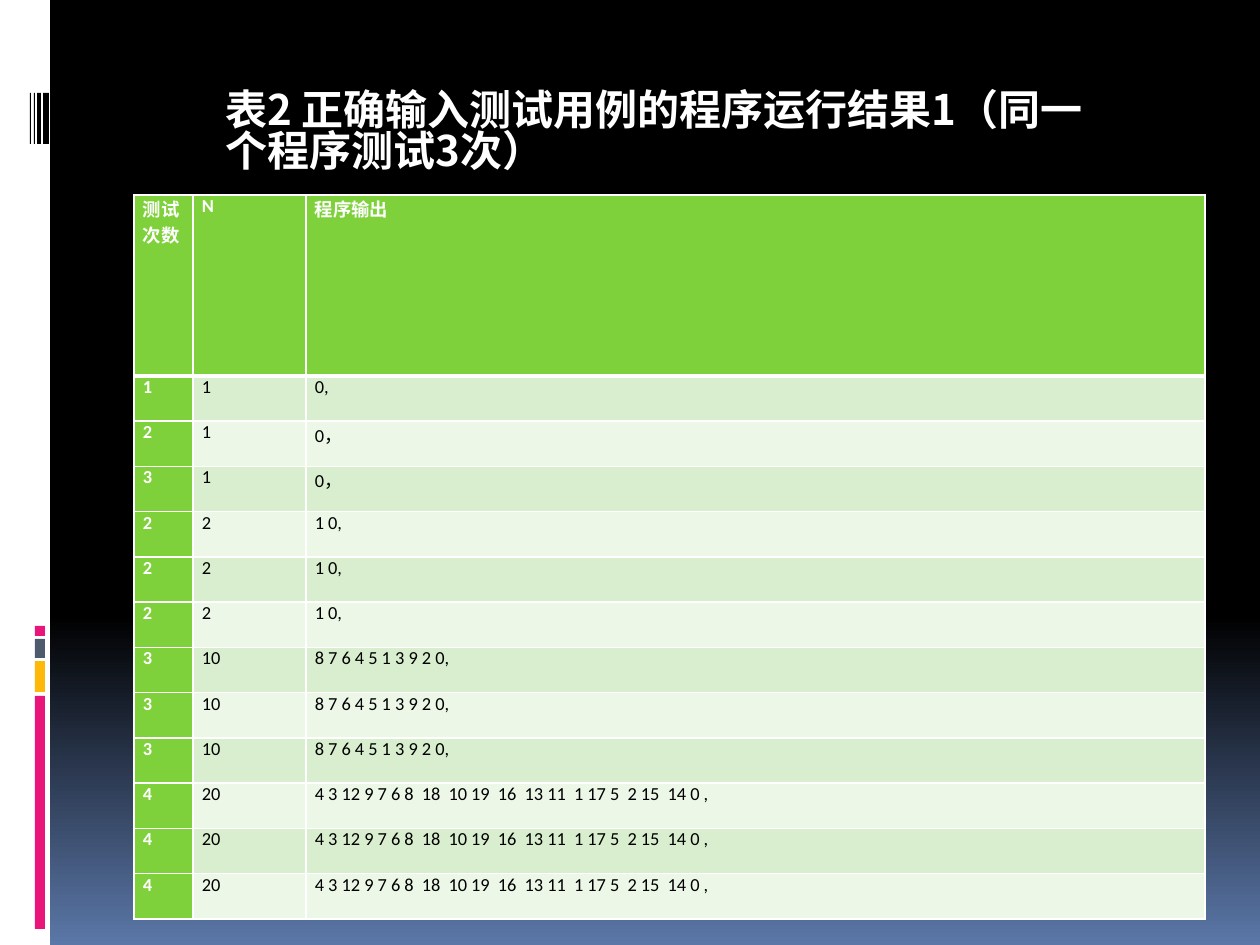
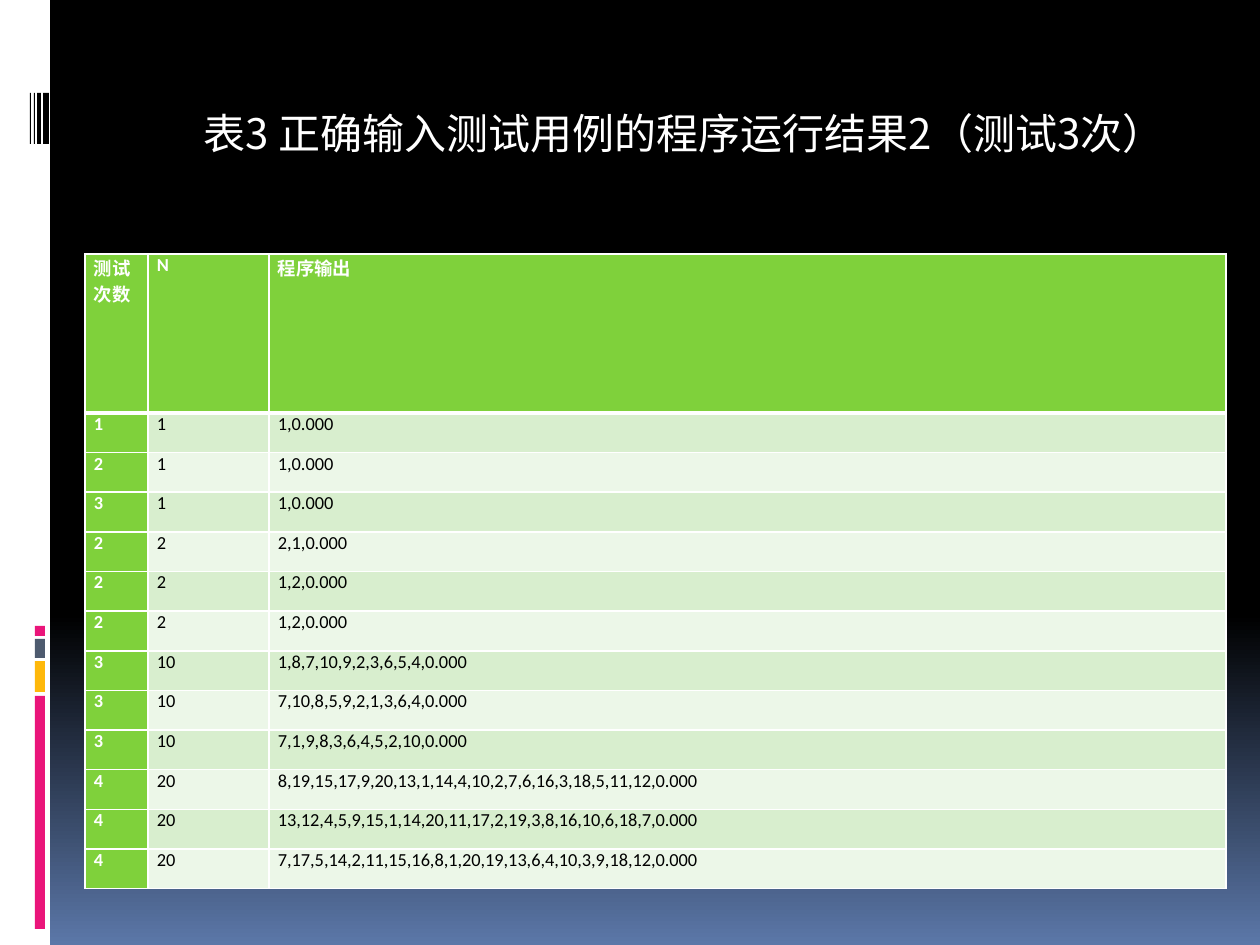
import copy
from dataclasses import dataclass

import lxml.etree
import pptx
import pptx.dml.color
import pptx.enum.shapes
import pptx.enum.text
import pptx.oxml.ns
import pptx.util

PX_PER_INCH = 126
COLORS = {
    "white": "FFFFFF",
    "black": "000000",
    "blue": "5B77A8",
    "pink": "EA157A",
    "yellow": "FEB80A",
    "slate": "4E5B6F",
    "green": "7FD13B",
    "dark band": "D8EECE",
    "light band": "ECF7E8",
}
CJK_FONT = "Noto Sans CJK SC"
TABLE_FONT = "Calibri"
HEADERS = ("测试次数", "N", "程序输出")


@dataclass(frozen=True)
class Box:
    left: int
    top: int
    width: int
    height: int


@dataclass(frozen=True)
class Bar:
    box: Box
    color: str


@dataclass(frozen=True)
class Title:
    text: str
    box: Box
    bold: bool
    align: pptx.enum.text.PP_ALIGN


@dataclass(frozen=True)
class ResultTable:
    box: Box
    column_widths: tuple[int, ...]
    header_height: int
    rows: list[tuple[str, str, str]]


@dataclass(frozen=True)
class ResultSlide:
    title: Title
    table: ResultTable


# Left strip with its colour blocks and barcode
SIDE_BARS = [
    Bar(Box(0, 0, 50, 945), "white"),
    Bar(Box(35, 696, 10, 233), "pink"),
    Bar(Box(35, 661, 10, 31), "yellow"),
    Bar(Box(35, 639, 10, 19), "slate"),
    Bar(Box(35, 626, 10, 10), "pink"),
] + [
    Bar(Box(left, 93, width, 51), "black")
    for left, width in ((43, 6), (37, 4), (34, 1), (30, 1))
]

# Test number and N for each row, the same in both tables
TESTS = [(number, "1") for number in "123"] + [
    (number, size)
    for number, size in (("2", "2"), ("3", "10"), ("4", "20"))
    for _ in range(3)
]


def with_tests(outputs: list[str]) -> list[tuple[str, str, str]]:
    return [(*test, output) for test, output in zip(TESTS, outputs)]


SORT_OUTPUTS = ["0,", "0，", "0，"] + [
    output
    for output in (
        "1 0,",
        "8 7 6 4 5 1 3 9 2 0,",
        "4 3 12 9 7 6 8  18  10 19  16  13 11  1 17 5  2 15  14 0 ,",
    )
    for _ in range(3)
]
TIMED_OUTPUTS = ["1,0.000"] * 3 + [
    "2,1,0.000",
    "1,2,0.000",
    "1,2,0.000",
    "1,8,7,10,9,2,3,6,5,4,0.000",
    "7,10,8,5,9,2,1,3,6,4,0.000",
    "7,1,9,8,3,6,4,5,2,10,0.000",
    "8,19,15,17,9,20,13,1,14,4,10,2,7,6,16,3,18,5,11,12,0.000",
    "13,12,4,5,9,15,1,14,20,11,17,2,19,3,8,16,10,6,18,7,0.000",
    "7,17,5,14,2,11,15,16,8,1,20,19,13,6,4,10,3,9,18,12,0.000",
]

SLIDES = [
    ResultSlide(
        Title(
            "表2 正确输入测试用例的程序运行结果1（同一个程序测试3次）",
            Box(213, 76, 883, 115), True, pptx.enum.text.PP_ALIGN.LEFT,
        ),
        ResultTable(Box(134, 195, 1071, 724), (59, 113, 899), 181, with_tests(SORT_OUTPUTS)),
    ),
    ResultSlide(
        Title(
            "表3 正确输入测试用例的程序运行结果2（测试3次）",
            Box(184, 105, 1000, 63), False, pptx.enum.text.PP_ALIGN.CENTER,
        ),
        ResultTable(Box(85, 254, 1141, 635), (63, 121, 957), 159, with_tests(TIMED_OUTPUTS)),
    ),
]


def px(length: float) -> pptx.util.Emu:
    return pptx.util.Emu(round(length * 914400 / PX_PER_INCH))


def place(box: Box) -> tuple[pptx.util.Emu, ...]:
    return px(box.left), px(box.top), px(box.width), px(box.height)


def rgb(color: str) -> pptx.dml.color.RGBColor:
    return pptx.dml.color.RGBColor.from_string(COLORS[color])


def style_paragraph(paragraph, font_name: str, size: float, color: str, bold: bool) -> None:
    font = paragraph.font
    font.name = font_name
    font.size = pptx.util.Pt(size)
    font.bold = bold
    font.color.rgb = rgb(color)
    # East Asian typeface
    properties = paragraph._p.pPr.find(pptx.oxml.ns.qn("a:defRPr"))
    lxml.etree.SubElement(properties, pptx.oxml.ns.qn("a:ea"), typeface=CJK_FONT)


def draw_background(slide) -> None:
    fill = slide.background.fill
    fill.gradient()
    fill.gradient_angle = 270
    first, last = fill.gradient_stops
    first.color.rgb, last.color.rgb = rgb("black"), rgb("blue")
    first.position, last.position = 0, 1
    # Black holds until 65 %
    middle = copy.deepcopy(first._gs)
    middle.set("pos", "65000")
    first._gs.addnext(middle)


def draw_bar(slide, bar: Bar) -> None:
    shape = slide.shapes.add_shape(pptx.enum.shapes.MSO_SHAPE.RECTANGLE, *place(bar.box))
    shape.shadow.inherit = False
    shape.fill.solid()
    shape.fill.fore_color.rgb = rgb(bar.color)
    shape.line.fill.background()


def draw_title(slide, title: Title) -> None:
    frame = slide.shapes.add_textbox(*place(title.box)).text_frame
    frame.word_wrap = True
    frame.vertical_anchor = pptx.enum.text.MSO_ANCHOR.MIDDLE
    paragraph = frame.paragraphs[0]
    paragraph.text = title.text
    paragraph.alignment = title.align
    paragraph.line_spacing = 0.83
    style_paragraph(paragraph, CJK_FONT, 24, "white", title.bold)


def set_borders(cell, widths: dict[str, int]) -> None:
    properties = cell._tc.get_or_add_tcPr()
    for side, width in widths.items():
        line = lxml.etree.SubElement(
            properties, pptx.oxml.ns.qn(f"a:ln{side}"), w=str(pptx.util.Pt(width))
        )
        fill = lxml.etree.SubElement(line, pptx.oxml.ns.qn("a:solidFill"))
        lxml.etree.SubElement(fill, pptx.oxml.ns.qn("a:srgbClr"), val=COLORS["white"])


def draw_cell(cell, text: str, row: int, column: int) -> None:
    is_heading = row == 0 or column == 0
    band = "dark band" if row % 2 else "light band"
    set_borders(cell, {
        "L": 1,
        "R": 1,
        "T": 3 if row == 1 else 1,
        "B": 3 if row == 0 else 1,
    })
    cell.fill.solid()
    cell.fill.fore_color.rgb = rgb("green" if is_heading else band)
    cell.margin_left = cell.margin_right = px(9)
    cell.margin_top = cell.margin_bottom = 0
    paragraph = cell.text_frame.paragraphs[0]
    paragraph.text = text
    style_paragraph(paragraph, TABLE_FONT, 10.5, "white" if is_heading else "black", is_heading)


def draw_table(slide, result: ResultTable) -> None:
    rows = [HEADERS, *result.rows]
    table = slide.shapes.add_table(len(rows), len(HEADERS), *place(result.box)).table
    for column, width in zip(table.columns, result.column_widths):
        column.width = px(width)
    body_height = (result.box.height - result.header_height) / len(result.rows)
    for row_index, texts in enumerate(rows):
        table.rows[row_index].height = px(body_height if row_index else result.header_height)
        for column_index, text in enumerate(texts):
            draw_cell(table.cell(row_index, column_index), text, row_index, column_index)


def main() -> None:
    presentation = pptx.Presentation()
    presentation.slide_width, presentation.slide_height = px(1260), px(945)
    for content in SLIDES:
        slide = presentation.slides.add_slide(presentation.slide_layouts[6])
        draw_background(slide)
        for bar in SIDE_BARS:
            draw_bar(slide, bar)
        draw_table(slide, content.table)
        draw_title(slide, content.title)
    presentation.save("out.pptx")


if __name__ == "__main__":
    main()
